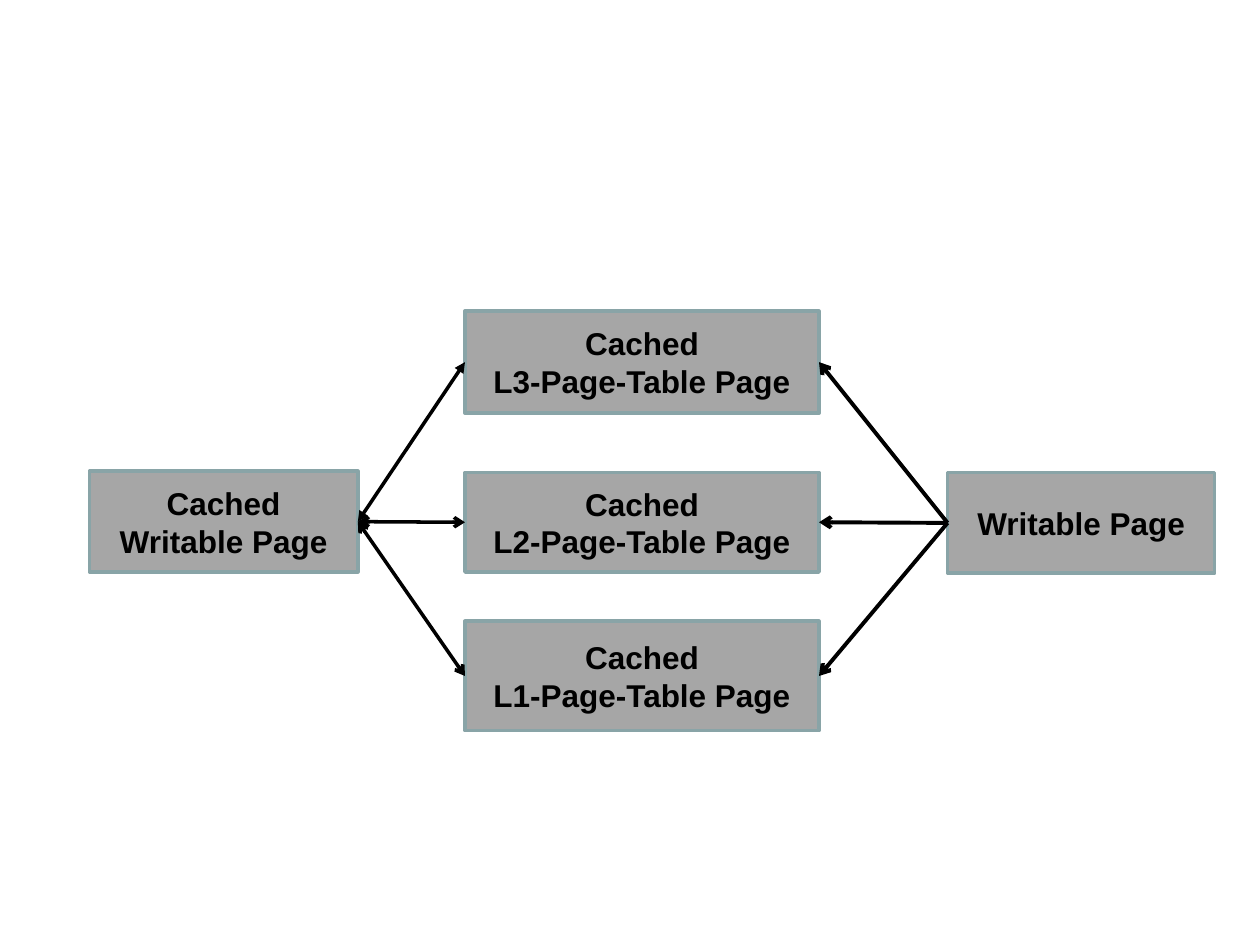
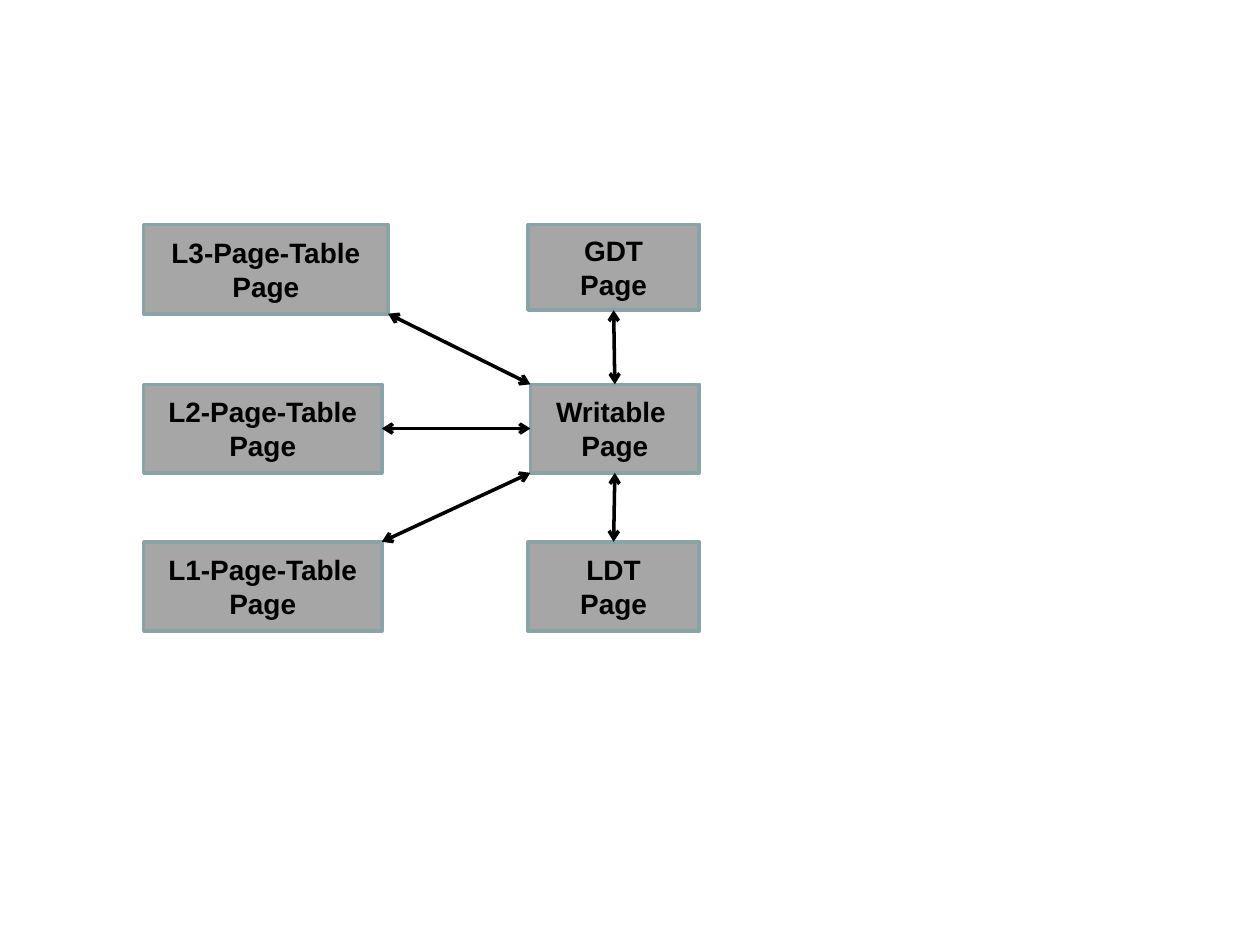
from pptx import Presentation
from pptx.dml.color import RGBColor
from pptx.enum.shapes import MSO_CONNECTOR, MSO_SHAPE
from pptx.enum.text import MSO_ANCHOR, PP_ALIGN
from pptx.oxml.ns import qn
from pptx.util import Pt
from lxml.etree import SubElement

HUES = {"fill": "A6A6A6", "edge": "89A4A7", "ink": "000000"}
FONT = "Arial"
TOP, LEFT, BASE, RIGHT = range(4)


def tint(name):
    """Return the named colour."""
    return RGBColor.from_string(HUES[name])


def add_box(slide, text, size, x, y, w, h):
    """Add a grey page box with bold centred text."""
    box = slide.shapes.add_shape(MSO_SHAPE.RECTANGLE, Pt(x), Pt(y), Pt(w), Pt(h))
    box.shadow.inherit = False
    box.fill.solid()
    box.fill.fore_color.rgb = tint("fill")
    box.line.color.rgb = tint("edge")
    box.line.width = Pt(2)
    frame = box.text_frame
    frame.word_wrap = True
    frame.vertical_anchor = MSO_ANCHOR.MIDDLE
    frame.text = text
    for para in frame.paragraphs:
        para.alignment = PP_ALIGN.CENTER
        for run in para.runs:
            run.font.name = FONT
            run.font.size = Pt(size)
            run.font.bold = True
            run.font.color.rgb = tint("ink")
    return box


def add_line(slide, start, end, width=2, tip="arrow", both=True):
    """Add an arrow between two points."""
    line = slide.shapes.add_connector(MSO_CONNECTOR.STRAIGHT, *start, *end)
    line.line.color.rgb = tint("ink")
    line.line.width = Pt(width)
    props = line.line._get_or_add_ln()
    for tag in ("a:headEnd", "a:tailEnd") if both else ("a:tailEnd",):
        SubElement(props, qn(tag)).set("type", tip)
    SubElement(line._element.spPr, qn("a:effectLst"))
    return line


def join(slide, start, side, end, goal, **style):
    """Add an arrow joined to the side middles of two boxes."""
    line = add_line(slide, (0, 0), (0, 0), **style)
    line.begin_connect(start, side)
    line.end_connect(end, goal)


def draw_cache(slide):
    """Draw the cached page types between the two writable pages."""
    size = 18
    page = add_box(slide, "Writable Page", size, 541.5, 270, 152.6, 57.6)
    cache = add_box(slide, "Cached\nWritable Page", size, 51.1, 269.3, 153.4, 57.6)
    rows = ((3, 177.8, 58.3, "triangle"), (2, 270, 56.9, "arrow"), (1, 355, 62.6, "arrow"))
    for level, y, high, tip in rows:
        text = f"Cached\nL{level}-Page-Table Page"
        table = add_box(slide, text, size, 265.7, y, 202.3, high)
        join(slide, page, LEFT, table, RIGHT, width=2.25, both=False)
        join(slide, cache, RIGHT, table, LEFT, tip=tip)


def draw_types(slide):
    """Draw the page types around the writable page."""
    size = 16
    page = add_box(slide, "Writable \nPage", size, 303.1, 219.6, 96.5, 50.6)
    upper, middle, lower = [
        add_box(slide, f"L{level}-Page-Table\nPage", size, 82.1, y, wide, high)
        for level, y, wide, high in (
            (3, 128.2, 139.7, 51.1), (2, 219.6, 136.1, 50.6), (1, 309.6, 136.1, 51.1))
    ]
    gdt, ldt = [
        add_box(slide, f"{name}\nPage", size, 301.7, y, 97.9, high)
        for name, y, high in (("GDT", 128.2, 49), ("LDT", 309.6, 51.1))
    ]
    floor = page.top + page.height
    add_line(slide, (upper.left + upper.width, upper.top + upper.height), (page.left, page.top))
    join(slide, middle, RIGHT, page, LEFT)
    add_line(slide, (lower.left + lower.width, lower.top), (page.left, floor))
    join(slide, gdt, BASE, page, TOP)
    join(slide, page, BASE, ldt, TOP)


def main():
    """Build and save the deck."""
    deck = Presentation()
    deck.slide_width, deck.slide_height = Pt(720), Pt(540)
    for draw in (draw_cache, draw_types):
        draw(deck.slides.add_slide(deck.slide_layouts[6]))
    deck.save("out.pptx")


if __name__ == "__main__":
    main()
